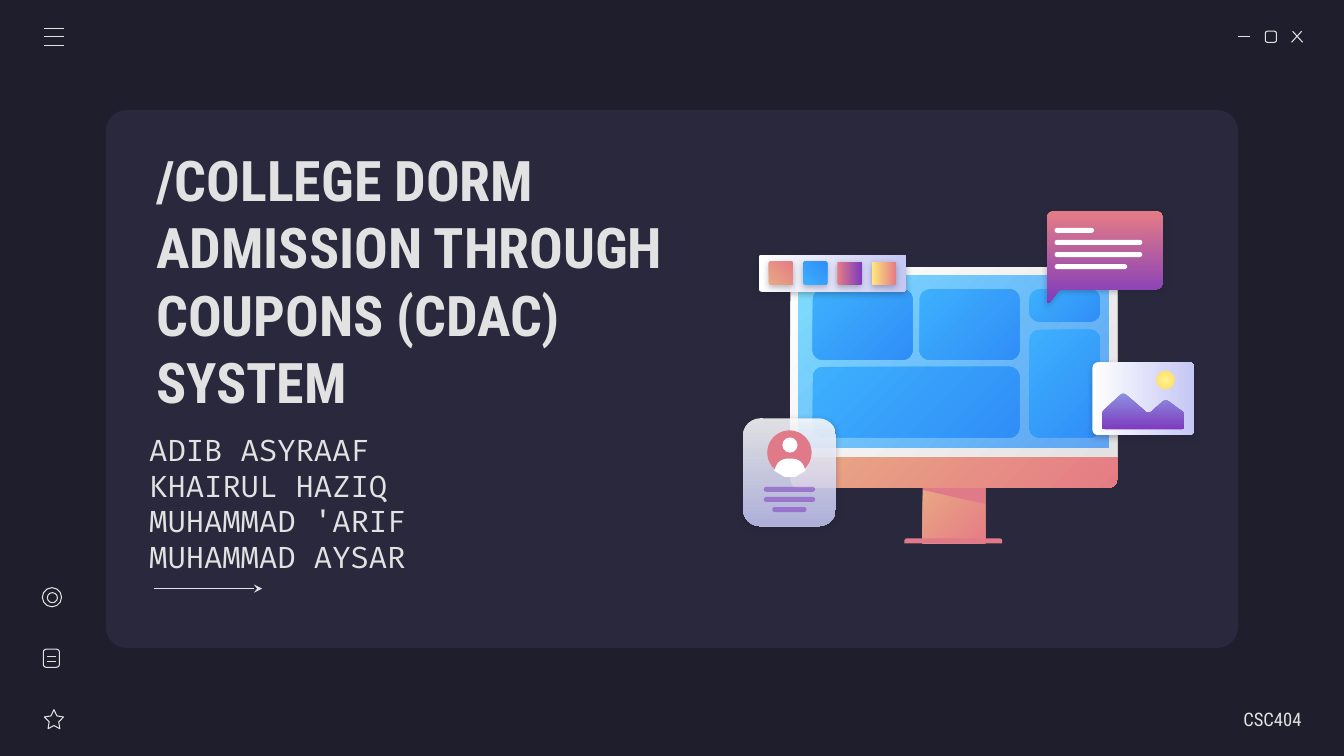
"""Build the title slide of the dorm admission project."""
import math
import pptx
import pptx.util
import pptx.dml.color
import pptx.enum.shapes
import pptx.enum.text
import pptx.oxml
import pptx.oxml.ns

Inches, Pt = pptx.util.Inches, pptx.util.Pt
KIND = pptx.enum.shapes.MSO_SHAPE
ALIGN = pptx.enum.text.PP_ALIGN
qn = pptx.oxml.ns.qn

THEME = {
    "back": "1E1E2C", "panel": "29283D", "ink": "E2E2E2", "white": "FFFFFF",
    "rose": "E07A88", "peach": ("E9A984", "E57C85", 45),
    "blue": ("3DB0FD", "308EF7", 45), "bezel": ("FFFFFF", "E2E2E2", 45),
    "screen": ("80DFFF", "318FFA", 45), "dusk": ("E57C85", "7E3BBE", 90),
    "pale": ("FFFFFF", "C5C7F4", 90), "hill": ("8D90E1", "7E3BBE", 90),
    "gold": ("FFEA7D", "E57C85", 90), "sun": ("FFF68E", "FFD966", None),
    "plum": "7E3BBE", "sans": "Roboto Condensed", "mono": "Fira Code",
    "title": 40, "names": 21.3, "code": 13.3, "line": 0.75,
}

TEXTS = [
    (["ADIB ASYRAAF", "KHAIRUL HAZIQ", "MUHAMMAD 'ARIF", "MUHAMMAD AYSAR"],
     (1.35, 4.68, 5.32, 0.62), "names", "mono", False, ALIGN.LEFT, 0.13),
    (["/COLLEGE DORM ADMISSION THROUGH COUPONS (CDAC) SYSTEM"],
     (1.42, 1.61, 5.96, 2.34), "title", "sans", True, ALIGN.LEFT, 0.13),
    (["CSC404"], (11.36, 6.93, 1.55, 0.41), "code", "sans", False, ALIGN.RIGHT, 0),
]
STAND = [(9.15, 4.82, 0), (9.15, 4.86, 0), (9.77, 5, 0), (9.77, 4.82, 0)]
TILES = [(8.06, 2.87, 0.99, 0.7), (8.06, 3.64, 2.05, 0.7), (9.12, 2.87, 0.99, 0.7),
         (10.21, 2.87, 0.7, 0.32), (10.21, 3.27, 0.7, 1.07)]
BUBBLE = [(10.38, 2.09, 0.09), (11.54, 2.09, 0.09), (11.54, 2.87, 0.09),
          (10.51, 2.87, 0), (10.4, 3.01, 0.01), (10.38, 3.01, 0.01)]
NOTES = [0.39, 0.87, 0.87, 0.72]
BODY = [(7.68, 4.67, 0), (7.72, 4.55, 0.1), (7.95, 4.55, 0.1),
        (7.99, 4.67, 0), (7.89, 4.73, 0), (7.78, 4.73, 0)]
BARS = [0.51, 0.51, 0.34]
HILLS = [(10.93, 4.09, 0.03), (11.14, 3.89, 0.04), (11.39, 4.11, 0.04),
         (11.56, 3.96, 0.04), (11.75, 4.1, 0.03), (11.75, 4.26, 0.04),
         (10.93, 4.26, 0.04)]
SWATCH = ["peach", "blue", "dusk", "gold"]
ICONS = [(KIND.ROUNDED_RECTANGLE, (12.55, 0.31, 0.11, 0.11), 0.02),
         (KIND.STAR_5_POINT, (0.44, 7.04, 0.19, 0.19), None),
         (KIND.ROUNDED_RECTANGLE, (0.43, 6.44, 0.16, 0.18), 0.03),
         (KIND.OVAL, (0.42, 5.83, 0.19, 0.19), None),
         (KIND.OVAL, (0.47, 5.88, 0.1, 0.1), None)]
LINES = [(12.28, 0.36, 12.4, 0.36), (12.82, 0.31, 12.92, 0.42),
         (12.91, 0.31, 12.81, 0.42), (0.47, 6.51, 0.56, 6.51),
         (0.47, 6.56, 0.56, 6.56)]
LINES += [(0.44, y, 0.63, y) for y in (0.28, 0.36, 0.45)]
ARROW = (1.53, 5.84, 2.6, 5.84)

deck = pptx.Presentation()
deck.slide_width, deck.slide_height = Inches(13.33), Inches(7.5)
slide = deck.slides.add_slide(deck.slide_layouts[6])
shapes = slide.shapes


def rgb(name):
    return pptx.dml.color.RGBColor.from_string(name)


def node(tag, text):
    return pptx.oxml.parse_xml(f"<a:{tag} {pptx.oxml.ns.nsdecls('a')} {text}")


def paint(shape, name, alpha=(), shade=False):
    look, fill, props = THEME[name], shape.fill, shape._element.spPr
    if isinstance(look, str):
        fill.solid()
        fill.fore_color.rgb = rgb(look)
    else:
        fill.gradient()
        for stop, color, pos in zip(fill.gradient_stops, look, (0, 1)):
            stop.color.rgb, stop.position = rgb(color), pos
        if look[2] is None:
            lin = props.find(".//" + qn("a:lin"))
            lin.getparent().replace(lin, node(
                "path", 'path="circle"><a:fillToRect l="50000" t="50000" '
                'r="50000" b="50000"/></a:path>'))
        else:
            fill.gradient_angle = 360 - look[2]
    for color, part in zip(list(props.iter(qn("a:srgbClr"))), alpha):
        color.append(node("alpha", f'val="{part * 1000}"/>'))
    shape.line.fill.background()
    shape.shadow.inherit = False
    if shade:
        props.find(qn("a:effectLst")).append(node(
            "outerShdw", f'blurRad="{Pt(4.5)}" dist="{Pt(1.5)}" dir="5400000" '
            f'algn="bl" rotWithShape="0"><a:srgbClr val="{THEME["back"]}">'
            '<a:alpha val="30000"/></a:srgbClr></a:outerShdw>'))


def add(kind, box, radius=None):
    shape = shapes.add_shape(kind, *map(Inches, box))
    if radius is not None:
        shape.adjustments[0] = min(radius / min(box[2:]), 0.5)
    return shape


def block(box, name, radius=None, turn=0, kind=None, **more):
    kind = kind or (KIND.RECTANGLE if radius is None else KIND.ROUNDED_RECTANGLE)
    shape = add(kind, box, radius)
    shape.rotation = turn
    paint(shape, name, **more)
    return shape


def blob(spots, name, **more):
    path = []
    for i, (x, y, cut) in enumerate(spots):
        ends = []
        for px, py, _ in (spots[i - 1], spots[(i + 1) % len(spots)]):
            part = cut / math.hypot(px - x, py - y)
            ends.append((x + (px - x) * part, y + (py - y) * part))
        (ax, ay), (bx, by) = ends
        for t in ([k / 8 for k in range(9)] if cut else [0]):
            u = 1 - t
            path.append((Inches(u * u * ax + 2 * u * t * x + t * t * bx),
                         Inches(u * u * ay + 2 * u * t * y + t * t * by)))
    pen = shapes.build_freeform(*path[0], scale=1.0)
    pen.add_line_segments(path[1:], close=True)
    paint(pen.convert_to_shape(), name, **more)


def stroke(ends):
    line = shapes.add_connector(pptx.enum.shapes.MSO_CONNECTOR.STRAIGHT,
                                *map(Inches, ends))
    line.line.color.rgb, line.line.width = rgb(THEME["ink"]), Pt(THEME["line"])
    line._element.spPr.append(node("effectLst", "/>"))
    return line


def write(rows, box, size, face, bold, align, right):
    frame = shapes.add_textbox(*map(Inches, box)).text_frame
    frame.word_wrap = True
    frame.vertical_anchor = pptx.enum.text.MSO_ANCHOR.MIDDLE
    frame.margin_left = frame.margin_top = frame.margin_bottom = Inches(0.13)
    frame.margin_right = Inches(right)
    frame.text = "\n".join(rows)
    for para in frame.paragraphs:
        para.alignment, font = align, para.font
        font.size, font.name, font.bold = Pt(THEME[size]), THEME[face], bold
        font.color.rgb = rgb(THEME["ink"])


slide.background.fill.solid()
slide.background.fill.fore_color.rgb = rgb(THEME["back"])
block((1.05, 1.09, 11.23, 5.34), "panel", 0.21)
for text in TEXTS:
    write(*text)

CAP = KIND.ROUND_2_SAME_RECTANGLE
block((9.15, 4.81, 0.62, 0.58), "peach")
block((8.97, 5.34, 0.97, 0.05), "rose", 0.04, kind=CAP)
blob(STAND, "rose")
chin = block((7.84, 4.52, 3.24, 0.32), "peach", 0, kind=CAP)
chin.adjustments[1] = 0.26
block((7.84, 2.65, 3.24, 1.88), "bezel", 0.08, kind=CAP)
block((7.92, 2.73, 3.07, 1.71), "screen", alpha=(100, 72))
for tile in TILES:
    block(tile, "blue", 0.1)

blob(BUBBLE, "dusk", shade=True)
for i, wide in enumerate(NOTES):
    block((10.46, 2.26 + 0.12 * i, wide, 0.05), "white", 0.03)

block((7.37, 4.15, 0.92, 1.07), "pale", 0.17, alpha=(86, 86), shade=True)
block((7.61, 4.27, 0.44, 0.44), "rose", kind=KIND.OVAL)
block((7.76, 4.34, 0.15, 0.15), "white", kind=KIND.OVAL)
blob(BODY, "white")
for i, wide in enumerate(BARS):
    block((7.83 - wide / 2, 4.83 + 0.1 * i, wide, 0.05), "plum", 0.03, alpha=(54,))

block((10.98, 3.45, 0.72, 1.01), "pale", 0.05, 270, shade=True)
blob(HILLS, "hill")
block((11.47, 3.68, 0.18, 0.18), "sun", kind=KIND.OVAL)
block((8.07, 1.98, 0.37, 1.46), "pale", 0.03, 270, shade=True)
for i, name in enumerate(SWATCH):
    block((7.63 + 0.34 * i, 2.59, 0.23, 0.24), name, 0.02, 270, shade=True)

for icon in ICONS:
    shape = add(*icon)
    shape.fill.background()
    shape.line.color.rgb, shape.line.width = rgb(THEME["ink"]), Pt(THEME["line"])
    shape.shadow.inherit = False
    if icon[0] == KIND.STAR_5_POINT:
        shape.adjustments[0] = 0.25
for ends in LINES:
    stroke(ends)
stroke(ARROW).line._get_or_add_ln().append(node("tailEnd", 'type="stealth"/>'))
deck.save("out.pptx")
